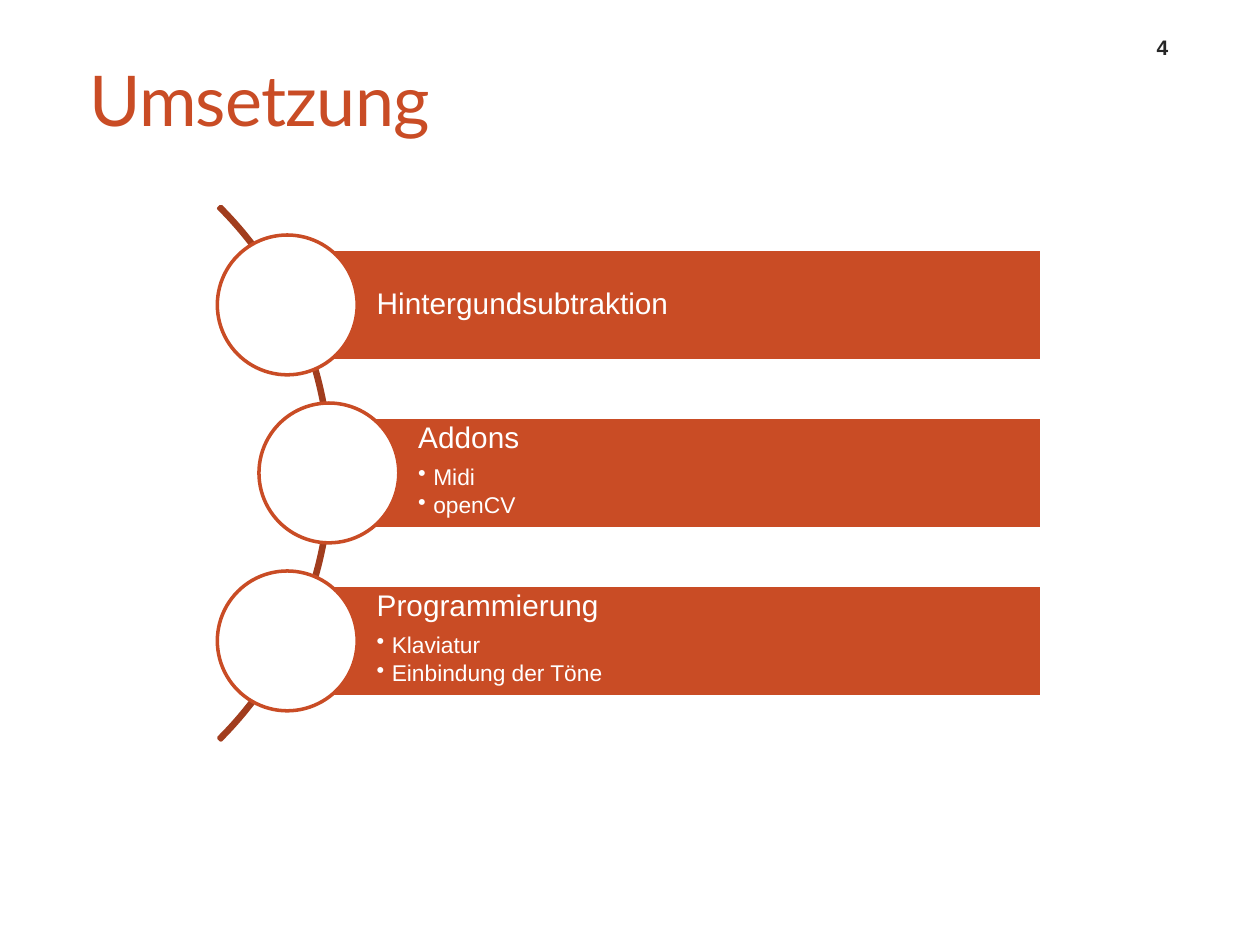
from lxml import etree
from pptx import Presentation
from pptx.dml.color import RGBColor
from pptx.enum.shapes import MSO_SHAPE
from pptx.enum.text import MSO_ANCHOR, PP_ALIGN
from pptx.oxml.ns import qn
from pptx.util import Inches, Pt

ORANGE = RGBColor(0xC9, 0x4C, 0x25)
RUST = RGBColor(0xA1, 0x3D, 0x1E)
WHITE = RGBColor(0xFF, 0xFF, 0xFF)
DARK = RGBColor(0x26, 0x26, 0x26)
BLOCK_ARC, RECTANGLE, OVAL = MSO_SHAPE.BLOCK_ARC, MSO_SHAPE.RECTANGLE, MSO_SHAPE.OVAL
TOP, MIDDLE, BOTTOM = MSO_ANCHOR.TOP, MSO_ANCHOR.MIDDLE, MSO_ANCHOR.BOTTOM
LEFT, CENTER = PP_ALIGN.LEFT, PP_ALIGN.CENTER

STEPS = [
    ("Hintergundsubtraktion", [], 2.28),
    ("Addons", ["Midi", "openCV"], 2.61),
    ("Programmierung", ["Klaviatur", "Einbindung der Töne"], 2.28),
]
FIRST_CENTER, PITCH = 2.42, 4 / 3
BAR_RIGHT, BAR_HEIGHT, CIRCLE = 8.27, 0.89, 1.11

prs = Presentation()
prs.slide_width, prs.slide_height = Inches(10), Inches(7.5)
slide = prs.slides.add_slide(prs.slide_layouts[6])


def add_outlined(preset, left, top, width, height, fill, line):
    shape = slide.shapes.add_shape(
        preset, Inches(left), Inches(top), Inches(width), Inches(height))
    shape.shadow.inherit = False
    if fill is None:
        shape.fill.background()
    else:
        shape.fill.solid()
        shape.fill.fore_color.rgb = fill
    shape.line.color.rgb = line
    shape.line.width = Pt(2)
    return shape


def style(paragraph, font, size, color, align=LEFT):
    paragraph.alignment = align
    paragraph.font.name = font
    paragraph.font.size = Pt(size)
    paragraph.font.color.rgb = color


title = slide.shapes.add_textbox(Inches(0.51), Inches(0.24), Inches(5.32), Inches(1.09))
title_frame = title.text_frame
title_frame.word_wrap = True
title_frame.vertical_anchor = MIDDLE
title_frame.margin_left, title_frame.margin_right = Inches(0.2), 0
heading = title_frame.paragraphs[0]
heading_run = heading.add_run()
heading_run.text = "Umsetzung"
heading_run._r.get_or_add_rPr().set("spc", "-40")
style(heading, "Lato", 40, ORANGE)

page = slide.shapes.add_textbox(Inches(8.95), Inches(0.19), Inches(0.55), Inches(0.33))
page.text_frame.word_wrap = True
page.text_frame.vertical_anchor = BOTTOM
page_number = page.text_frame.paragraphs[0]
page_number.text = "4"
style(page_number, "Arial", 12, DARK, CENTER)
page_number.font.bold = True

arc = add_outlined(BLOCK_ARC, -3.36, 0.76, 5.99, 5.99, None, RUST)
for index, value in enumerate((189, 27, 0.004)):
    arc.adjustments[index] = value

for row, (topic, details, left) in enumerate(STEPS):
    center = FIRST_CENTER + row * PITCH
    bar = add_outlined(RECTANGLE, left, center - BAR_HEIGHT / 2,
                       BAR_RIGHT - left, BAR_HEIGHT, ORANGE, WHITE)
    frame = bar.text_frame
    frame.word_wrap = True
    frame.vertical_anchor = TOP if details else MIDDLE
    frame.margin_left = Inches(0.71)
    frame.margin_right = frame.margin_top = frame.margin_bottom = Inches(0.05)
    topic_line = frame.paragraphs[0]
    topic_line.text = topic
    style(topic_line, "Arial", 17, WHITE)
    topic_line.line_spacing = 0.9
    topic_line.space_after = Pt(6)
    for detail in details:
        item = frame.add_paragraph()
        item.text = detail
        item.level = 1
        style(item, "Arial", 13, WHITE)
        item.line_spacing = 0.9
        item.space_after = Pt(2)
        properties = item._p.get_or_add_pPr()
        properties.set("marL", str(Inches(0.12)))
        properties.set("indent", str(-Inches(0.12)))
        bullet = etree.Element(qn("a:buChar"), char="•")
        properties.find(qn("a:defRPr")).addprevious(bullet)
    add_outlined(OVAL, left - CIRCLE / 2, center - CIRCLE / 2,
                 CIRCLE, CIRCLE, WHITE, ORANGE)

prs.save("out.pptx")
